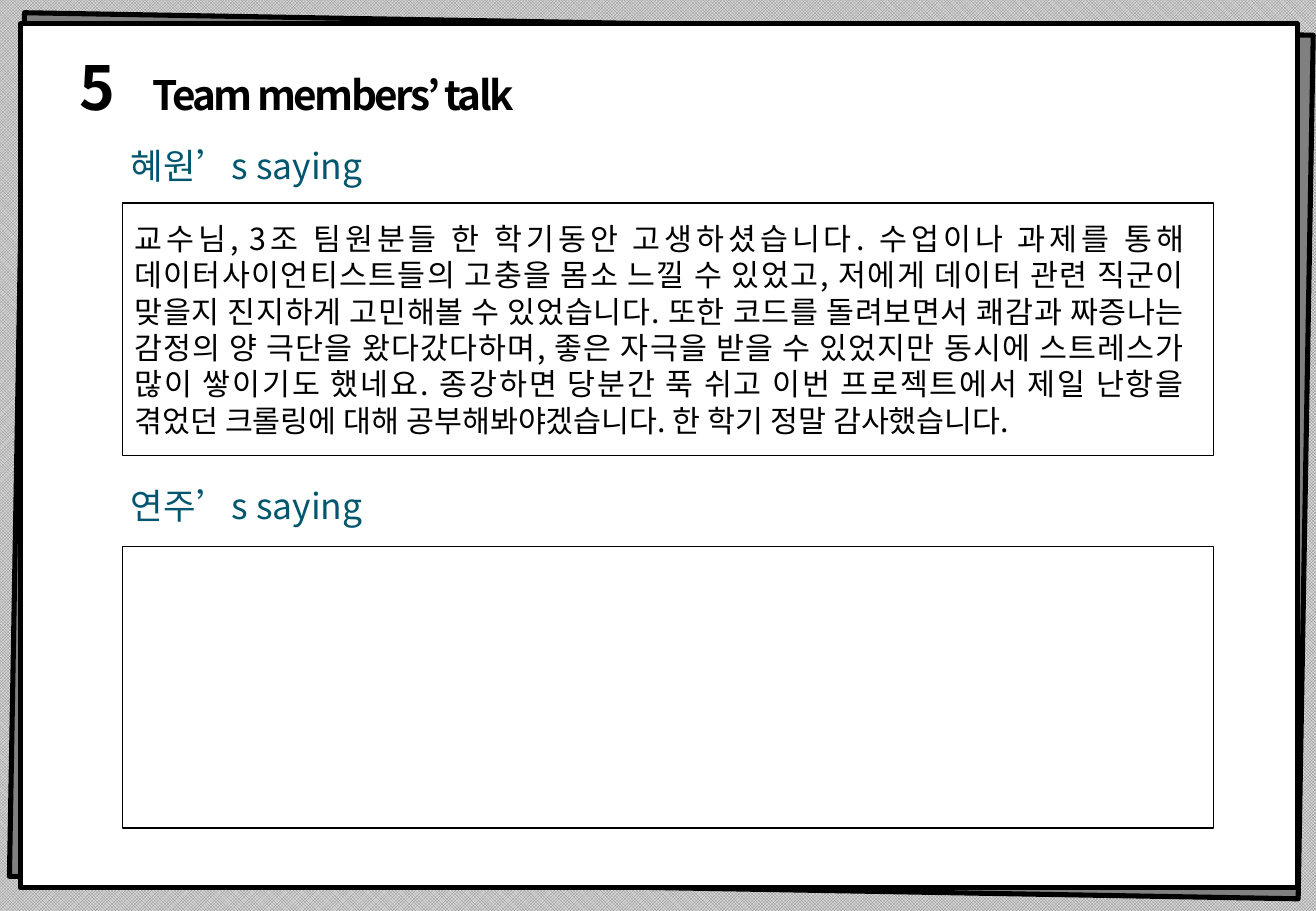
from lxml import etree
from pptx import Presentation
from pptx.dml.color import RGBColor
from pptx.enum import dml, shapes, text
from pptx.oxml.ns import qn
from pptx.util import Pt

BLACK = RGBColor(0x00, 0x00, 0x00)
WHITE = RGBColor(0xFF, 0xFF, 0xFF)
GRAY = RGBColor(0x80, 0x80, 0x80)
LIGHT_GRAY = RGBColor(0xD9, 0xD9, 0xD9)
TEAL = RGBColor(0x00, 0x56, 0x6E)
FONT = "Noto Sans CJK KR"

MESSAGE = (
    "교수님, 3조 팀원분들 한 학기동안 고생하셨습니다. 수업이나 과제를 통해 "
    "데이터사이언티스트들의 고충을 몸소 느낄 수 있었고, 저에게 데이터 관련 직군이 "
    "맞을지 진지하게 고민해볼 수 있었습니다. 또한 코드를 돌려보면서 쾌감과 짜증나는 "
    "감정의 양 극단을 왔다갔다하며, 좋은 자극을 받을 수 있었지만 동시에 스트레스가 "
    "많이 쌓이기도 했네요. 종강하면 당분간 푹 쉬고 이번 프로젝트에서 제일 난항을 "
    "겪었던 크롤링에 대해 공부해봐야겠습니다. 한 학기 정말 감사했습니다."
)
# Heading, heading top, frame top, frame height, message
SAYINGS = [
    ("혜원’s saying", 82, 120.2, 149.8, MESSAGE),
    ("연주’s saying", 283.6, 324, 167, ""),
]


def place(shape, left, top, width, height):
    shape.left, shape.top = Pt(left), Pt(top)
    shape.width, shape.height = Pt(width), Pt(height)


def write(shape, words, size, color=BLACK, align=text.PP_ALIGN.LEFT,
          anchor=text.MSO_ANCHOR.TOP):
    frame = shape.text_frame
    frame.word_wrap = True
    frame.auto_size = text.MSO_AUTO_SIZE.NONE
    frame.vertical_anchor = anchor
    frame.text = words
    paragraph = frame.paragraphs[0]
    paragraph.alignment = align
    font = paragraph.font
    font.name, font.size, font.color.rgb = FONT, Pt(size), color
    # Korean letters take the East Asian font
    properties = paragraph._p.pPr.find(qn("a:defRPr"))
    etree.SubElement(properties, qn("a:ea"), typeface=FONT)
    return paragraph


def write_banner(shape, words, size, align=text.PP_ALIGN.LEFT):
    paragraph = write(shape, words, size, align=align)
    paragraph.space_before = Pt(6)
    paragraph.font.bold = True
    paragraph._p.pPr.find(qn("a:defRPr")).set("spc", "-150")
    frame = shape.text_frame
    frame.margin_left = frame.margin_right = Pt(8.5)
    frame.margin_top = frame.margin_bottom = Pt(4.25)
    return paragraph


def add_box(slide, left, top, width, height, fill=None, line_width=1):
    box = slide.shapes.add_shape(shapes.MSO_SHAPE.RECTANGLE, Pt(left), Pt(top),
                                 Pt(width), Pt(height))
    box.shadow.inherit = False
    if fill is None:
        box.fill.background()
    else:
        box.fill.solid()
        box.fill.fore_color.rgb = fill
    box.line.color.rgb = BLACK
    box.line.width = Pt(line_width)
    return box


def add_label(slide, left, top, width, height):
    return slide.shapes.add_textbox(Pt(left), Pt(top), Pt(width), Pt(height))


def add_saying(slide, heading, heading_top, frame_top, frame_height, message):
    write(add_label(slide, 70.5, heading_top, 425, 34), heading, 21, TEAL)
    frame = add_box(slide, 72.6, frame_top, 646.6, frame_height)
    if message:
        write(frame, message, 18, align=text.PP_ALIGN.JUSTIFY,
              anchor=text.MSO_ANCHOR.MIDDLE)
        frame.text_frame.margin_right = Pt(17.3)


def main():
    deck = Presentation()
    deck.slide_width, deck.slide_height = Pt(780), Pt(540)
    slide = deck.slides.add_slide(deck.slide_layouts[5])

    # Checkered background
    backdrop = slide.background.fill
    backdrop.patterned()
    backdrop.pattern = dml.MSO_PATTERN.SMALL_CHECKER_BOARD
    backdrop.fore_color.rgb = GRAY
    backdrop.back_color.rgb = LIGHT_GRAY

    # Two stacked sheets of paper
    back_sheet = add_box(slide, 10, 14.2, 764, 512, GRAY, 3)
    back_sheet.rotation = 1
    add_box(slide, 12.2, 14.2, 756.7, 512, WHITE, 3)

    # Title, brought in front of the sheets, and its number
    title = slide.shapes.title
    slide.shapes._spTree.append(title._element)
    place(title, 82, 23, 298, 48.2)
    write_banner(title, "Team members’ talk", 24).line_spacing = 1.5
    number = add_label(slide, 28, 25.2, 49, 52)
    write_banner(number, "5", 36, text.PP_ALIGN.RIGHT)

    # Messages of the team members
    for saying in SAYINGS:
        add_saying(slide, *saying)

    deck.save("out.pptx")


if __name__ == "__main__":
    main()
